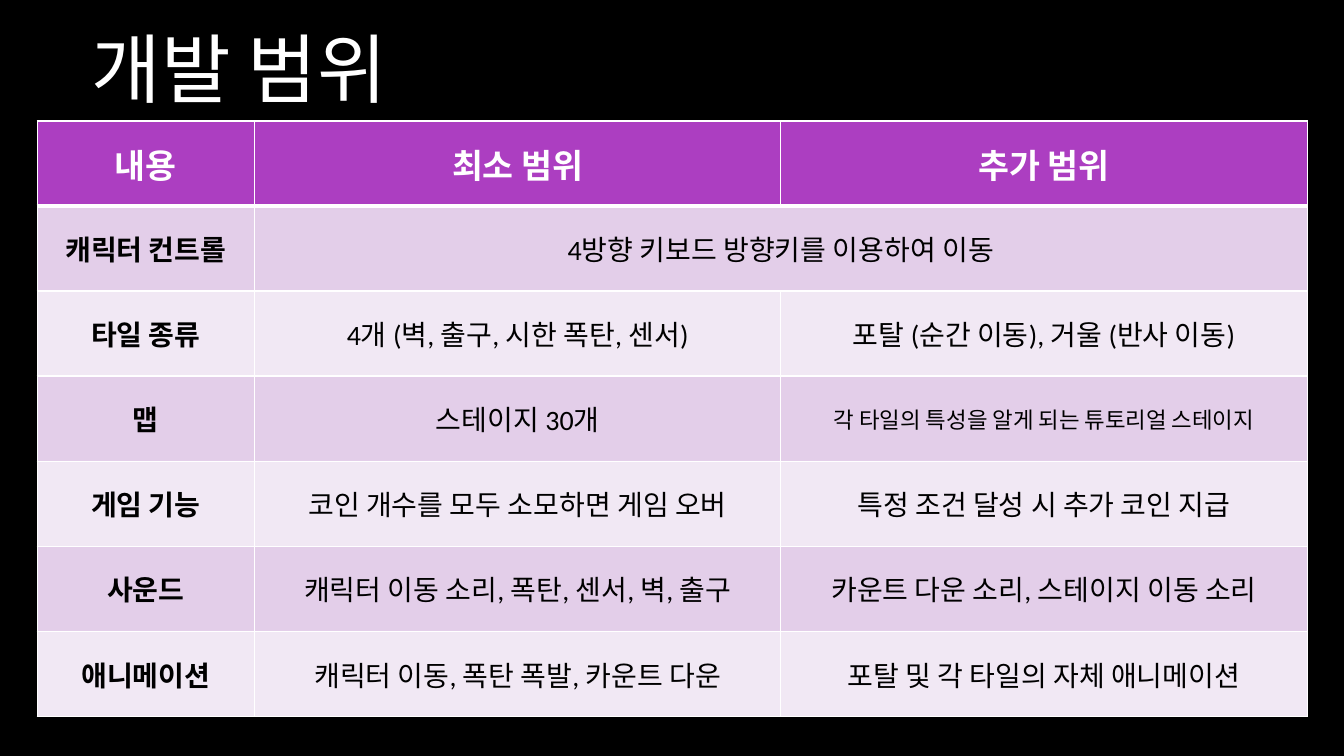
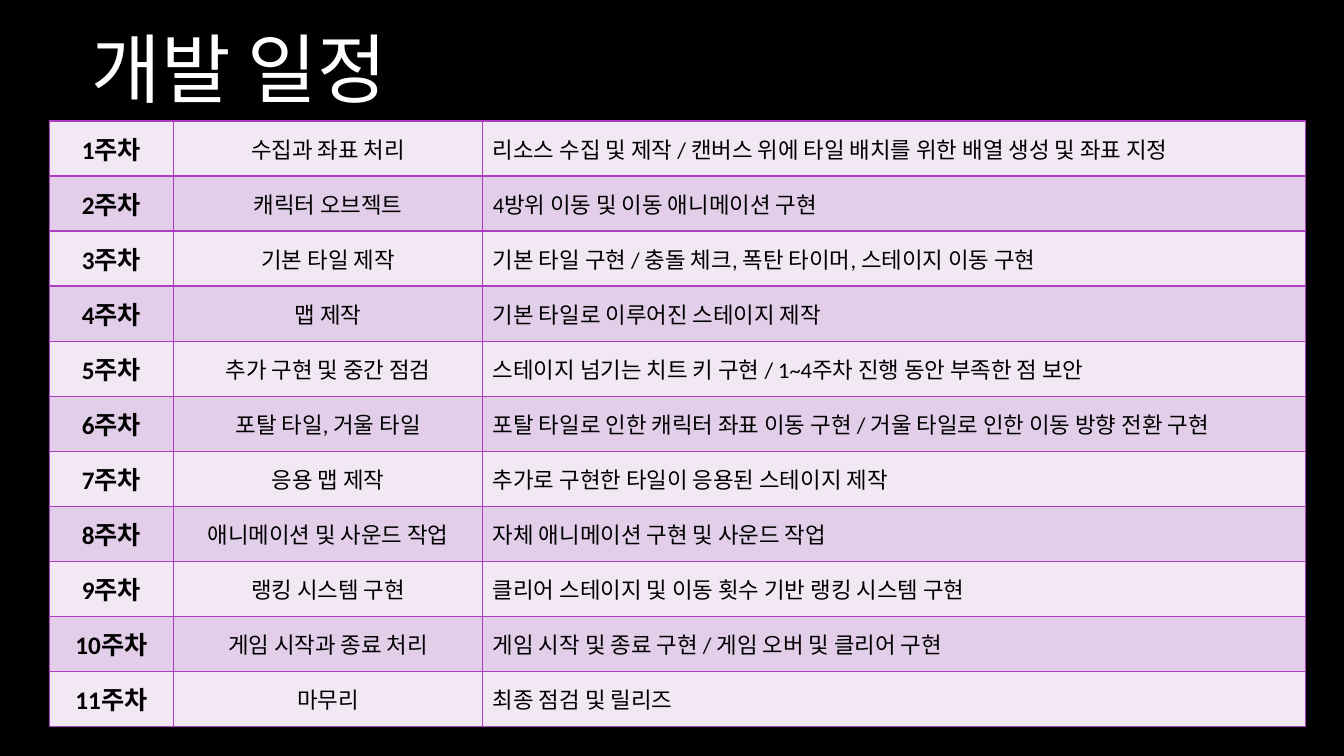
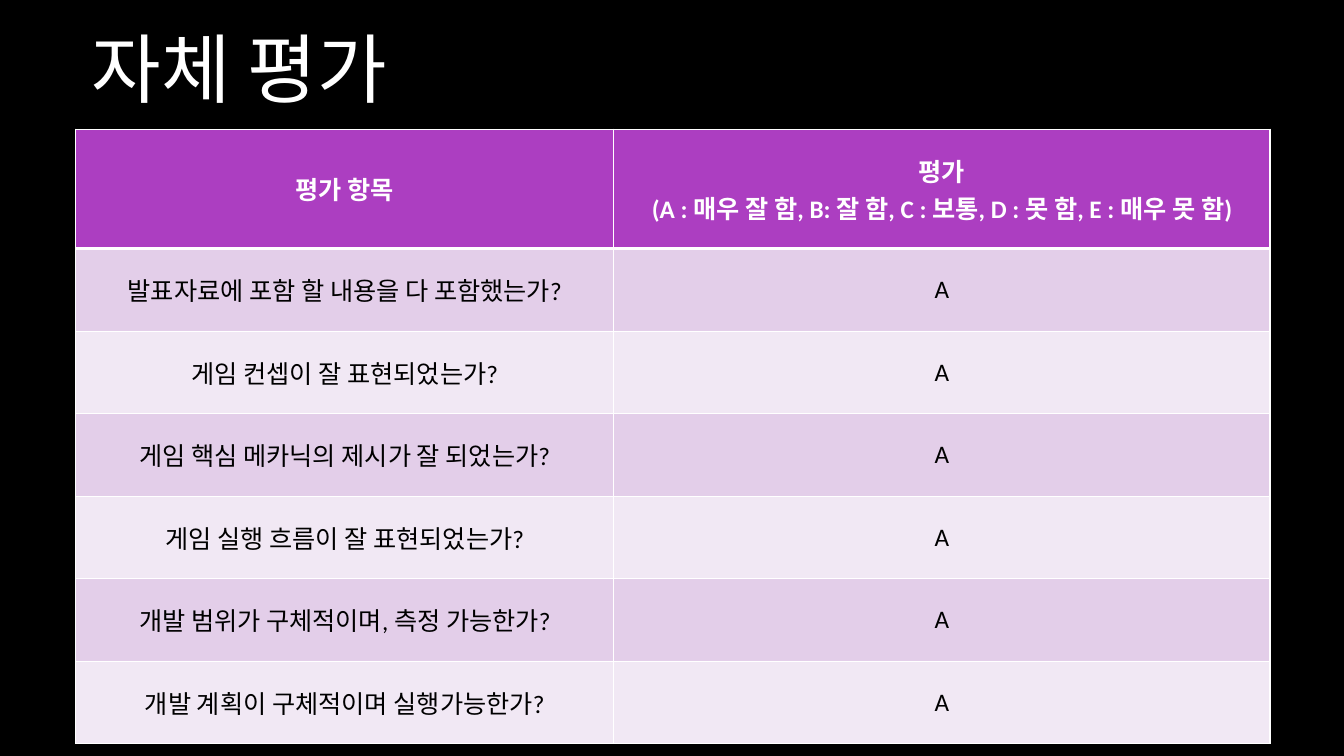
from dataclasses import dataclass

from lxml import etree
from pptx import Presentation
from pptx.dml.color import RGBColor
from pptx.enum.text import MSO_ANCHOR, PP_ALIGN
from pptx.oxml.ns import qn
from pptx.util import Pt

CENTER, LEFT = PP_ALIGN.CENTER, PP_ALIGN.LEFT
MIDDLE = MSO_ANCHOR.MIDDLE
BLACK = RGBColor(0x00, 0x00, 0x00)
WHITE = RGBColor(0xFF, 0xFF, 0xFF)
PURPLE = RGBColor(0xAC, 0x3E, 0xC1)
LILAC = RGBColor(0xE3, 0xCE, 0xE9)
PALE = RGBColor(0xF1, 0xE8, 0xF4)
FONT = "Calibri"
TITLE_ONLY = 5

SCOPE = [
    ("내용", "최소 범위", "추가 범위"),
    ("캐릭터 컨트롤", "4방향 키보드 방향키를 이용하여 이동", ""),
    ("타일 종류", "4개 (벽, 출구, 시한 폭탄, 센서)", "포탈 (순간 이동), 거울 (반사 이동)"),
    ("맵", "스테이지 30개", "각 타일의 특성을 알게 되는 튜토리얼 스테이지"),
    ("게임 기능", "코인 개수를 모두 소모하면 게임 오버", "특정 조건 달성 시 추가 코인 지급"),
    ("사운드", "캐릭터 이동 소리, 폭탄, 센서, 벽, 출구", "카운트 다운 소리, 스테이지 이동 소리"),
    ("애니메이션", "캐릭터 이동, 폭탄 폭발, 카운트 다운", "포탈 및 각 타일의 자체 애니메이션"),
]

SCHEDULE = [
    ("수집과 좌표 처리", "리소스 수집 및 제작 / 캔버스 위에 타일 배치를 위한 배열 생성 및 좌표 지정"),
    ("캐릭터 오브젝트", "4방위 이동 및 이동 애니메이션 구현"),
    ("기본 타일 제작", "기본 타일 구현 / 충돌 체크, 폭탄 타이머, 스테이지 이동 구현"),
    ("맵 제작", "기본 타일로 이루어진 스테이지 제작"),
    ("추가 구현 및 중간 점검", "스테이지 넘기는 치트 키 구현 / 1~4주차 진행 동안 부족한 점 보안"),
    ("포탈 타일, 거울 타일", "포탈 타일로 인한 캐릭터 좌표 이동 구현 / 거울 타일로 인한 이동 방향 전환 구현"),
    ("응용 맵 제작", "추가로 구현한 타일이 응용된 스테이지 제작"),
    ("애니메이션 및 사운드 작업", "자체 애니메이션 구현 및 사운드 작업"),
    ("랭킹 시스템 구현", "클리어 스테이지 및 이동 횟수 기반 랭킹 시스템 구현"),
    ("게임 시작과 종료 처리", "게임 시작 및 종료 구현 / 게임 오버 및 클리어 구현"),
    ("마무리", "최종 점검 및 릴리즈"),
]

QUESTIONS = [
    "발표자료에 포함 할 내용을 다 포함했는가?",
    "게임 컨셉이 잘 표현되었는가?",
    "게임 핵심 메카닉의 제시가 잘 되었는가?",
    "게임 실행 흐름이 잘 표현되었는가?",
    "개발 범위가 구체적이며, 측정 가능한가?",
    "개발 계획이 구체적이며 실행가능한가?",
]
RATING_HEADER = "평가\n(A : 매우 잘 함, B: 잘 함, C : 보통, D : 못 함, E : 매우 못 함)"


@dataclass
class Column:
    """Width and text style of one table column."""

    width: float
    size: int
    bold: bool = False
    align: PP_ALIGN = CENTER


class Slides:
    """Deck style and the slide being built."""

    def __init__(self):
        """Start a black widescreen deck."""
        self.deck = Presentation()
        self.deck.slide_width, self.deck.slide_height = Pt(960), Pt(540)
        fill = self.deck.slide_master.background.fill
        fill.solid()
        fill.fore_color.rgb = BLACK
        self.slide = None

    def add_slide(self, title):
        """Add a slide with its title."""
        self.slide = self.deck.slides.add_slide(self.deck.slide_layouts[TITLE_ONLY])
        box = self.slide.shapes.title
        box.left, box.top, box.width, box.height = Pt(8.6), Pt(10), Pt(325), Pt(76.4)
        self.set_text(box.text_frame, title, 54, WHITE)
        box.text_frame.vertical_anchor = MIDDLE

    def set_text(self, frame, text, size, color, bold=False, align=CENTER):
        """Set the text of a frame and format it."""
        frame.text = text
        for para in frame.paragraphs:
            para.alignment = align
            for span in para.runs:
                span.font.name = FONT
                span.font.size = Pt(size)
                span.font.bold = bold
                span.font.color.rgb = color

    def border(self, cell, color, top=1, bottom=1):
        """Draw the four borders of a cell."""
        properties = cell._tc.get_or_add_tcPr()
        sides = (("a:lnL", 1), ("a:lnR", 1), ("a:lnT", top), ("a:lnB", bottom))
        for position, (side, width) in enumerate(sides):
            line = etree.Element(qn(side), w=str(Pt(width)))
            solid = etree.SubElement(line, qn("a:solidFill"))
            etree.SubElement(solid, qn("a:srgbClr"), val=str(color))
            properties.insert(position, line)

    def add_table(self, left, top, row_height, columns, rows, line, header_size=None):
        """Add a banded table, with a header row if header_size is given."""
        has_header = header_size is not None
        width = sum(column.width for column in columns)
        frame = self.slide.shapes.add_table(
            len(rows), len(columns), Pt(left), Pt(top), Pt(width), Pt(row_height * len(rows)))
        table = frame.table
        table.first_row, table.horz_banding = has_header, False
        for column, grid_column in zip(columns, table.columns):
            grid_column.width = Pt(column.width)
        for row_index, texts in enumerate(rows):
            table.rows[row_index].height = Pt(row_height)
            is_header = has_header and row_index == 0
            below_header = has_header and row_index == 1
            band = PURPLE if is_header else LILAC if row_index % 2 else PALE
            for column_index, (column, text) in enumerate(zip(columns, texts)):
                cell = table.cell(row_index, column_index)
                cell.fill.solid()
                cell.fill.fore_color.rgb = band
                cell.vertical_anchor = MIDDLE
                self.border(cell, line, 3 if below_header else 1, 3 if is_header else 1)
                if is_header:
                    self.set_text(cell.text_frame, text, header_size, WHITE, True)
                else:
                    self.set_text(cell.text_frame, text, column.size, BLACK,
                                  column.bold, column.align)
        return table


def main():
    """Build the three slides."""
    slides = Slides()

    slides.add_slide("개발 범위")
    columns = [Column(155.2, 20, True), Column(376, 20), Column(376, 20)]
    scope = slides.add_table(26.6, 86.4, 60.75, columns, SCOPE, WHITE, 24)
    scope.cell(1, 1).merge(scope.cell(1, 2))
    tutorial = scope.cell(3, 2).text_frame
    slides.set_text(tutorial, tutorial.text, 16, BLACK)

    slides.add_slide("개발 일정")
    columns = [Column(88.6, 18, True), Column(221, 16), Column(587.5, 16, align=LEFT)]
    weeks = [(f"{week}주차", *texts) for week, texts in enumerate(SCHEDULE, 1)]
    slides.add_table(35.3, 86.4, 39.34, columns, weeks, PURPLE)

    slides.add_slide("자체 평가")
    columns = [Column(384.5, 18), Column(468.7, 18)]
    ratings = [("평가 항목", RATING_HEADER)] + [(question, "A") for question in QUESTIONS]
    slides.add_table(54, 92.2, 58.95, columns, ratings, WHITE, 18)

    slides.deck.save("out.pptx")


if __name__ == "__main__":
    main()
